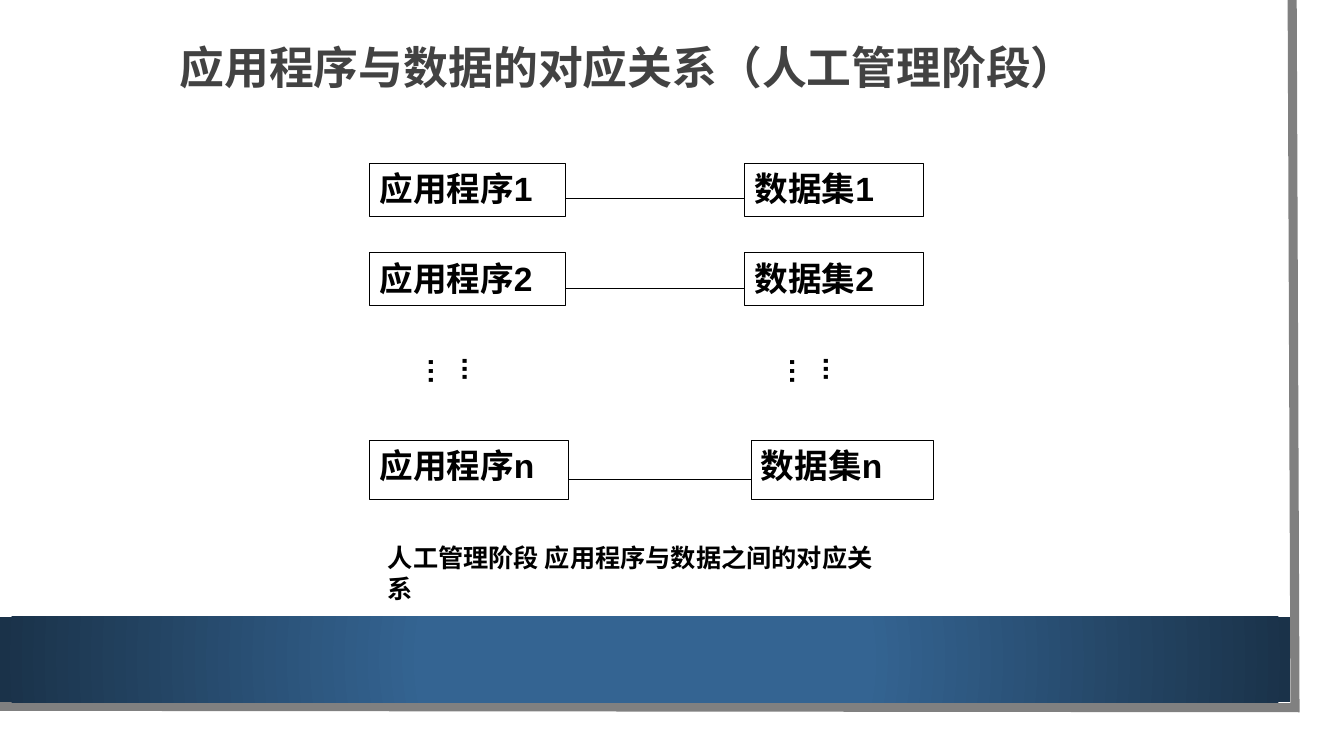
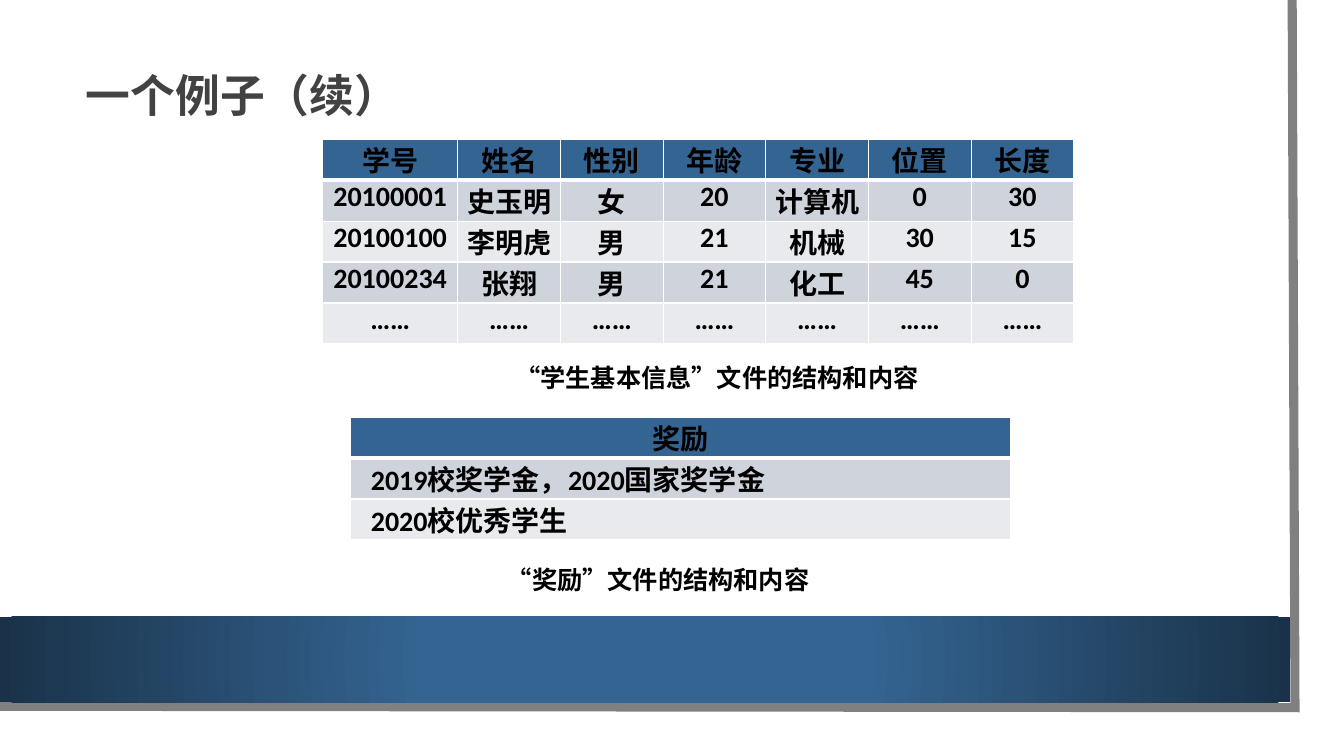
from lxml import etree
from pptx import Presentation
from pptx.dml.color import RGBColor
from pptx.enum import shapes, text
from pptx.oxml import parse_xml
from pptx.oxml.ns import nsdecls, qn
from pptx.util import Pt

CENTER = text.PP_ALIGN.CENTER
JUST = text.PP_ALIGN.JUSTIFY
RECT = shapes.MSO_SHAPE.RECTANGLE


def rgb(code):
    return RGBColor.from_string(code)


def place(*sizes):
    return [Pt(size) for size in sizes]


class Deck:
    ink, paper, gray = "000000", "FFFFFF", "808080"
    blue, navy, dark = "346492", "1A3249", "424242"
    bands = ("E8EAEE", "CED3DC")

    def __init__(self):
        self.prs = Presentation()
        self.prs.slide_width, self.prs.slide_height = place(960, 540)
        self.base = self.prs.slide_layouts[5]
        self.slide = None

    def page(self, title, *box):
        first = self.slide is None
        self.slide = self.prs.slides.add_slide(self.base)
        if first:
            self.frame()
        head = self.slide.shapes.title
        head.left, head.top, head.width, head.height = place(*box)
        body = head.text_frame
        body.auto_size = text.MSO_AUTO_SIZE.NONE
        body.vertical_anchor = text.MSO_ANCHOR.MIDDLE
        self.letter(body, title, 32, "Arial Narrow", self.dark, text.PP_ALIGN.LEFT)
        body.paragraphs[0].line_spacing = 0.9

    def frame(self):
        pen = self.slide.shapes.build_freeform(*place(923, 0))
        pen.add_line_segments([place(925, 505.5), place(-2, 504.5)], close=False)
        edge = pen.convert_to_shape()
        edge.shadow.inherit = False
        edge.fill.background()
        edge.line.color.rgb = rgb(self.gray)
        edge.line.width = Pt(6.5)
        line = edge.element.spPr.find(qn("a:ln"))
        etree.SubElement(line, qn("a:miter")).set("lim", "800000")

        band = self.slide.shapes.add_shape(RECT, *place(0, 440.5, 921.5, 61))
        band.shadow.inherit = False
        band.line.fill.background()
        band.fill.gradient()
        for stop, spot, tone in zip(band.fill.gradient_stops, (0.34, 1), (self.blue, self.navy)):
            stop.position = spot
            stop.color.rgb = rgb(tone)
        grad = band.element.spPr.find(qn("a:gradFill"))
        grad.replace(grad.find(qn("a:lin")), parse_xml(
            f'<a:path {nsdecls("a")} path="circle">'
            '<a:fillToRect l="50000" t="50000" r="50000" b="50000"/></a:path>'))
        for part in (edge, band):
            self.base.shapes.element.append(part.element)

    def letter(self, body, words, size, face="Arial", tone=ink, align=None):
        para = body.paragraphs[0]
        para.text = words
        para.alignment = align
        font = para.font
        font.size, font.name, font.bold = Pt(size), face, True
        font.color.rgb = rgb(tone)

    def box(self, words, *spot):
        box = self.slide.shapes.add_shape(RECT, *place(*spot))
        box.shadow.inherit = False
        box.fill.solid()
        box.fill.fore_color.rgb = rgb(self.paper)
        box.line.color.rgb = rgb(self.ink)
        box.line.width = Pt(0.75)
        box.text_frame.vertical_anchor = text.MSO_ANCHOR.TOP
        self.letter(box.text_frame, words, 24, align=text.PP_ALIGN.LEFT)

    def link(self, start, end, y):
        link = self.slide.shapes.add_connector(
            shapes.MSO_CONNECTOR.STRAIGHT, *place(start, y, end, y))
        link.line.color.rgb = rgb(self.ink)
        link.line.width = Pt(0.75)
        etree.SubElement(link.element.spPr, qn("a:effectLst"))

    def label(self, words, *spot):
        box = self.slide.shapes.add_textbox(*place(*spot))
        box.text_frame.word_wrap = False
        self.letter(box.text_frame, words, 18)

    def dots(self, *spot):
        box = self.slide.shapes.add_textbox(*place(*spot))
        box.text_frame.word_wrap = True
        box.element.txBody.bodyPr.set("vert", "eaVert")
        self.letter(box.text_frame, "...…", 20)

    def table(self, x, y, cols, rows, pad, align):
        high = 29.25
        grid = self.slide.shapes.add_table(
            len(rows), len(cols), *place(x, y, sum(cols), high * len(rows))).table
        grid.first_row = grid.horz_banding = False
        for col, wide in zip(grid.columns, cols):
            col.width = Pt(wide)
        for i, row in enumerate(rows):
            grid.rows[i].height = Pt(high)
            for j, words in enumerate(row):
                cell = grid.cell(i, j)
                cell.margin_left = cell.margin_right = Pt(pad)
                cell.margin_top = cell.margin_bottom = 0
                cell.fill.solid()
                cell.fill.fore_color.rgb = rgb(self.bands[i % 2] if i else self.blue)
                self.letter(cell.text_frame, words, 20, "Calibri", align=align if i else CENTER)
                self.rule(cell, 1 if i else 3)

    def rule(self, cell, low):
        props = cell._tc.get_or_add_tcPr()
        for k, (side, wide) in enumerate(zip("LRTB", (1, 1, 1, low))):
            props.insert(k, parse_xml(
                f'<a:ln{side} {nsdecls("a")} w="{Pt(wide)}"><a:solidFill>'
                f'<a:srgbClr val="{self.paper}"/></a:solidFill></a:ln{side}>'))


def main():
    deck = Deck()
    deck.page("应用程序与数据的对应关系（人工管理阶段）", 121, 14.5, 720, 70.5)
    pairs = [("1", 116.5, 38, 140, 532, 128),
             ("2", 180.5, 38, 140, 532, 128),
             ("n", 314.5, 42, 142, 536.5, 130)]
    left = 264
    for mark, y, high, wide, right, span in pairs:
        deck.box("应用程序" + mark, left, y, wide, high)
        deck.box("数据集" + mark, right, y, span, high)
        deck.link(left + wide, right, y + high * 2 / 3)
    for x in (293, 551):
        deck.dots(x, 248.5, 61, 44)
    deck.label("人工管理阶段 应用程序与数据之间的对应关系", 270, 384, 375, 29)

    deck.page("一个例子（续）", 54, 31, 818.5, 78.5)
    deck.table(250.5, 298, [471.5], [
        ["奖励"], ["2019校奖学金，2020国家奖学金"], ["2020校优秀学生"]], 14.4, JUST)
    deck.label("“奖励”文件的结构和内容", 355, 399.5, 234, 29)
    deck.table(230.5, 99.5, [96.5] + [73.35] * 6, [
        ["学号", "姓名", "性别", "年龄", "专业", "位置", "长度"],
        ["20100001", "史玉明", "女", "20", "计算机", "0", "30"],
        ["20100100", "李明虎", "男", "21", "机械", "30", "15"],
        ["20100234", "张翔", "男", "21", "化工", "45", "0"],
        ["……"] * 7], 5.75, CENTER)
    deck.label("“学生基本信息”文件的结构和内容", 361, 255.5, 306, 29)
    deck.prs.save("out.pptx")


if __name__ == "__main__":
    main()
